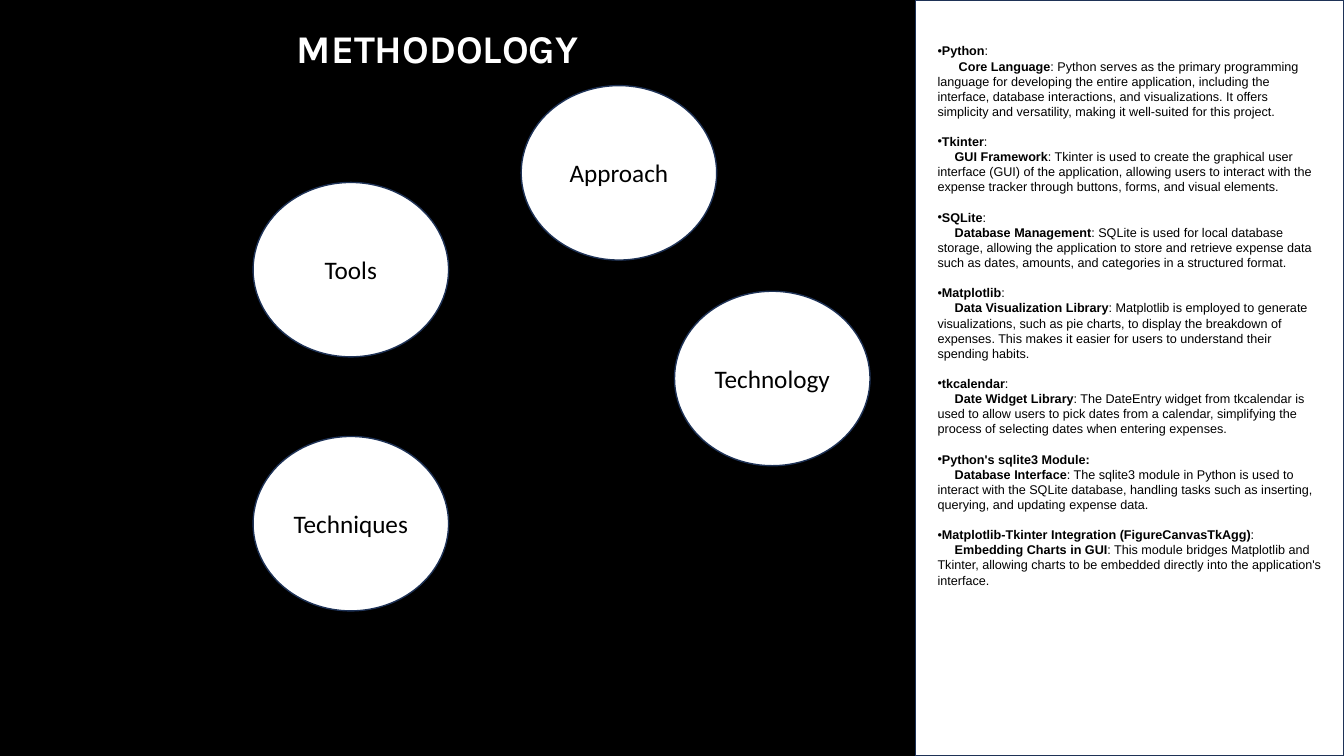
from dataclasses import dataclass

from lxml import etree
from pptx import Presentation
from pptx.dml import color
from pptx.enum import shapes, text
from pptx.oxml import ns
from pptx.util import Inches, Pt


@dataclass(frozen=True)
class Theme:
    dark: color.RGBColor = color.RGBColor(0, 0, 0)
    light: color.RGBColor = color.RGBColor(255, 255, 255)
    outline: color.RGBColor = color.RGBColor(0x1E, 0x32, 0x56)
    title_font: str = "Karla"
    topic_font: str = "Calibri"
    body_font: str = "Arial"
    title_size: float = 28
    topic_size: float = 18
    body_size: float = 9
    body_line: float = 10.8


THEME = Theme()
WIDTH, HEIGHT = Inches(13.33), Inches(7.5)
TOPIC_SIZE = (14.55, 23.07)
TOPICS = [
    ("Approach", 38.78, 11.33),
    ("Tools", 18.83, 24.13),
    ("Technology", 50.19, 38.53),
    ("Techniques", 18.83, 57.73),
]
TOOLS = [
    ("Python", ":", "Core Language",
     ": Python serves as the primary programming language for developing the entire "
     "application, including the interface, database interactions, and visualizations. "
     "It offers simplicity and versatility, making it well-suited for this project."),
    ("Tkinter", ":", "GUI Framework",
     ": Tkinter is used to create the graphical user interface (GUI) of the application, "
     "allowing users to interact with the expense tracker through buttons, forms, and "
     "visual elements."),
    ("SQLite", ":", "Database Management",
     ": SQLite is used for local database storage, allowing the application to store and "
     "retrieve expense data such as dates, amounts, and categories in a structured format."),
    ("Matplotlib", ":", "Data Visualization Library",
     ": Matplotlib is employed to generate visualizations, such as pie charts, to display "
     "the breakdown of expenses. This makes it easier for users to understand their "
     "spending habits."),
    ("tkcalendar", ":", "Date Widget Library",
     ": The DateEntry widget from tkcalendar is used to allow users to pick dates from a "
     "calendar, simplifying the process of selecting dates when entering expenses."),
    ("Python's sqlite3 Module:", "", "Database Interface",
     ": The sqlite3 module in Python is used to interact with the SQLite database, handling "
     "tasks such as inserting, querying, and updating expense data."),
    ("Matplotlib-Tkinter Integration (FigureCanvasTkAgg)", ":", "Embedding Charts in GUI",
     ": This module bridges Matplotlib and Tkinter, allowing charts to be embedded directly "
     "into the application's interface."),
]


def place(left, top, width, height):
    return (round(WIDTH * left / 100), round(HEIGHT * top / 100),
            round(WIDTH * width / 100), round(HEIGHT * height / 100))


def add_run(p, words, font, size, rgb, bold=False):
    r = p.add_run()
    r.text = words
    r.font.name, r.font.size, r.font.bold = font, Pt(size), bold
    r.font.color.rgb = rgb


def add_panel(s, kind, *share):
    sp = s.shapes.add_shape(kind, *place(*share))
    sp.shadow.inherit = False
    sp.fill.solid()
    sp.fill.fore_color.rgb = THEME.light
    sp.line.color.rgb = THEME.outline
    sp.line.width = Pt(1)
    return sp


def add_topic(s, name, left, top):
    sp = add_panel(s, shapes.MSO_SHAPE.OVAL, left, top, *TOPIC_SIZE)
    tf = sp.text_frame
    tf.vertical_anchor = text.MSO_ANCHOR.MIDDLE
    p = tf.paragraphs[0]
    p.alignment = text.PP_ALIGN.CENTER
    add_run(p, name, THEME.topic_font, THEME.topic_size, THEME.dark)


def add_text_frame(s, *share):
    tf = s.shapes.add_textbox(*place(*share)).text_frame
    tf.word_wrap = True
    return tf


def add_title(s, words):
    tf = add_text_frame(s, -15.9, 2.53, 96.92, 7.6)
    tf.auto_size = text.MSO_AUTO_SIZE.SHAPE_TO_FIT_TEXT
    p = tf.paragraphs[0]
    p.alignment = text.PP_ALIGN.CENTER
    add_run(p, words, THEME.title_font, THEME.title_size, THEME.light, True)


def set_bullet(p):
    pPr = p._p.get_or_add_pPr()
    pPr.set("marL", "0")
    pPr.set("indent", "0")
    etree.SubElement(pPr, ns.qn("a:buFont")).set("typeface", THEME.body_font)
    etree.SubElement(pPr, ns.qn("a:buChar")).set("char", "•")


def set_first_line(p, indent):
    pPr = p._p.get_or_add_pPr()
    pPr.set("marL", "0")
    pPr.set("indent", str(indent))


def add_tool_notes(s):
    tf = add_text_frame(s, 69.02, 4.8, 30.08, 76.13)
    tf.margin_top = Inches(0.07)
    style = (THEME.body_font, THEME.body_size, THEME.dark)
    for i, (name, mark, role, detail) in enumerate(TOOLS):
        heading = tf.add_paragraph() if i else tf.paragraphs[0]
        set_bullet(heading)
        if i:
            heading.space_before = Pt(THEME.body_line)
        add_run(heading, name, *style, True)
        if mark:
            add_run(heading, mark, *style)
        note = tf.add_paragraph()
        set_first_line(note, Inches(0.17 if i else 0.21))
        add_run(note, role, *style, True)
        add_run(note, detail, *style)
    for p in tf.paragraphs:
        p.line_spacing = Pt(THEME.body_line)


def main():
    prs = Presentation()
    prs.slide_width, prs.slide_height = WIDTH, HEIGHT
    s = prs.slides.add_slide(prs.slide_layouts[6])
    s.background.fill.solid()
    s.background.fill.fore_color.rgb = THEME.dark
    add_title(s, "METHODOLOGY")
    for topic in TOPICS:
        add_topic(s, *topic)
    add_panel(s, shapes.MSO_SHAPE.RECTANGLE, 68.12, 0, 31.88, 100)
    add_tool_notes(s)
    prs.save("out.pptx")


if __name__ == "__main__":
    main()
